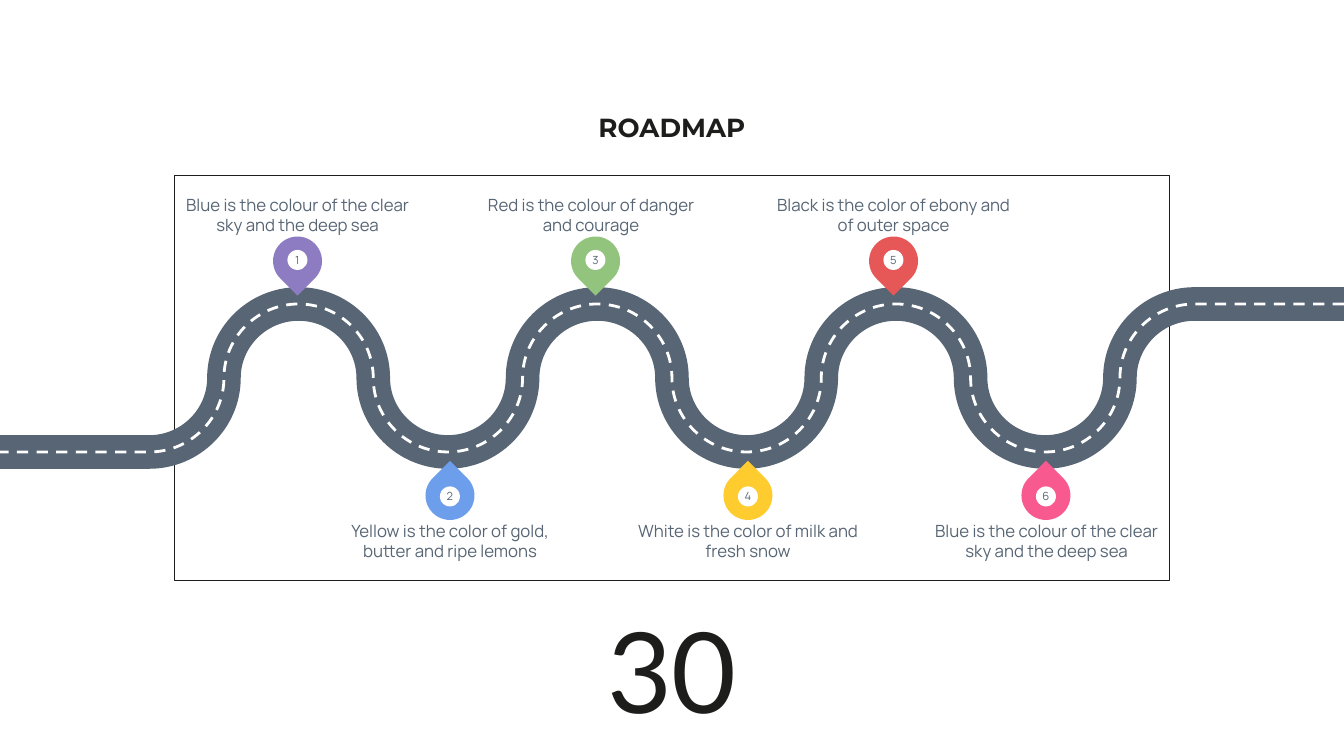
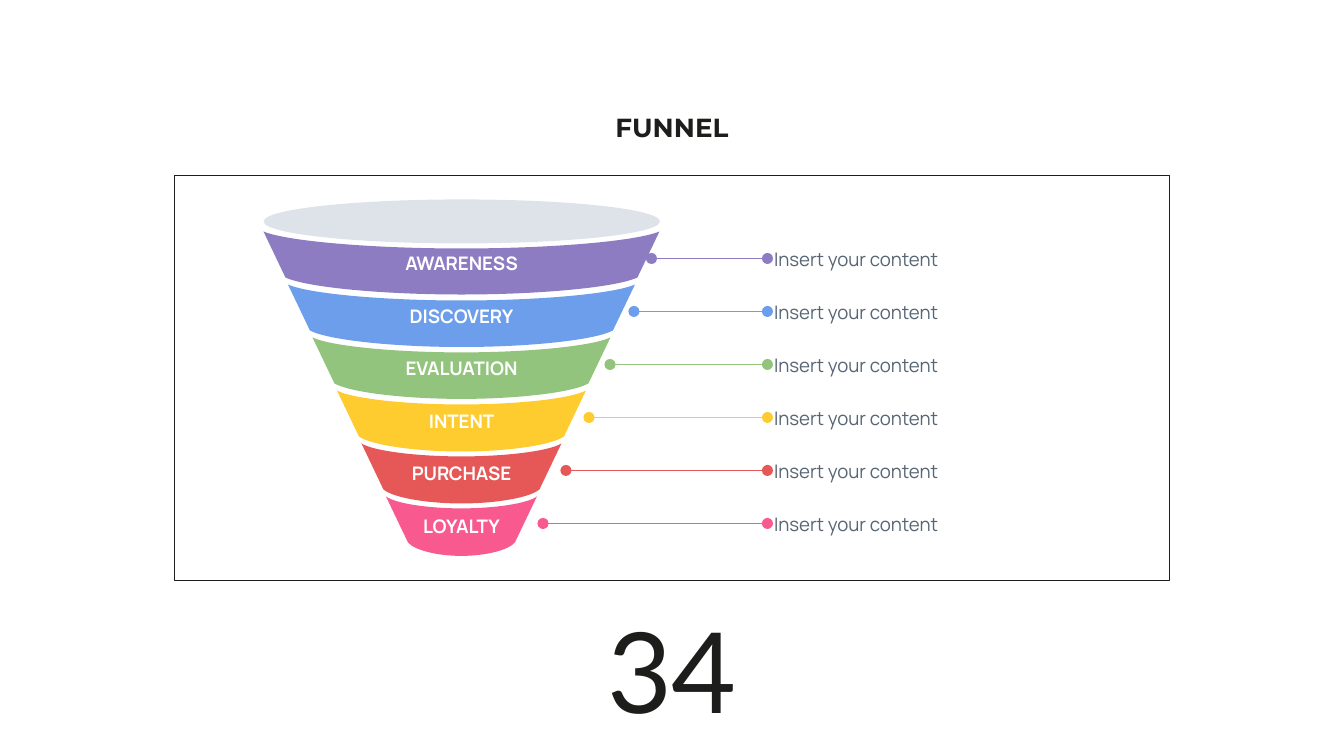
from dataclasses import dataclass

from lxml.etree import SubElement
from pptx import Presentation
from pptx.dml.color import RGBColor
from pptx.enum.dml import MSO_LINE
from pptx.enum.shapes import MSO_CONNECTOR, MSO_SHAPE
from pptx.enum.text import MSO_ANCHOR, PP_ALIGN
from pptx.oxml.ns import qn
from pptx.util import Emu, Pt

WIDE, HIGH = 2688, 1512
SCALE = 9144000 / WIDE


@dataclass(frozen=True)
class Theme:
    ink: str = "1D1D1B"
    slate: str = "576574"
    white: str = "FFFFFF"
    mist: str = "DEE3E9"
    hues: tuple = ("8E7CC3", "6D9EEB", "93C47D", "FFCC2F", "E65858", "F8598E")
    head: str = "Montserrat"
    body: str = "Manrope"
    digit: str = "Lato"
    title: int = 14
    page: int = 60
    label: int = 10
    note: int = 9
    pin: int = 6
    hair: float = 0.75
    dash: float = 1.5
    road: int = 18


THEME = Theme()


def px(size):
    return Emu(round(size * SCALE))


def tint(code):
    return RGBColor.from_string(code)


def paint(shape, fill=None, edge=None, width=THEME.hair):
    shape.shadow.inherit = False
    if fill:
        shape.fill.solid()
        shape.fill.fore_color.rgb = tint(fill)
    else:
        shape.fill.background()
    if edge:
        shape.line.color.rgb = tint(edge)
        shape.line.width = Pt(width)
    else:
        shape.line.fill.background()


def write(shape, text, size, color, font=THEME.body, bold=False,
          align=PP_ALIGN.CENTER, anchor=MSO_ANCHOR.MIDDLE, pad=(0, 0)):
    frame = shape.text_frame
    frame.word_wrap = True
    frame.vertical_anchor = anchor
    frame.margin_left = frame.margin_right = px(pad[0])
    frame.margin_top = frame.margin_bottom = px(pad[1])
    para = frame.paragraphs[0]
    para.alignment = align
    run = para.add_run()
    run.text = text
    run.font.name = font
    run.font.size = Pt(size)
    run.font.bold = bold
    run.font.color.rgb = tint(color)


def add_form(shapes, kind, box, fill=None, edge=None):
    shape = shapes.add_shape(kind, *map(px, box))
    paint(shape, fill, edge)
    return shape


def add_text(shapes, box, text, size, color, **style):
    write(shapes.add_textbox(*map(px, box)), text, size, color, **style)


def add_curve(shapes, start, parts, close):
    pen = shapes.build_freeform(*map(px, start))
    pen.add_line_segments([(px(x), px(y)) for part in parts for x, y in part], close=close)
    shape = pen.convert_to_shape()
    nodes = iter(list(shape._element.iter(qn("a:lnTo"))))
    for part in parts:
        first, *rest = [next(nodes) for _ in part]
        if rest:
            first.tag = qn("a:cubicBezTo")
        for node in rest:
            first.append(node[0])
            node.getparent().remove(node)
    return shape


def add_link(shapes, start, end, y, color):
    link = shapes.add_connector(MSO_CONNECTOR.STRAIGHT, px(start), px(y), px(end), px(y))
    link.line.color.rgb = tint(color)
    link.line.width = Pt(THEME.hair)
    props = link._element.spPr
    for tip in ("a:headEnd", "a:tailEnd"):
        SubElement(props.find(qn("a:ln")), qn(tip), type="oval")
    SubElement(props, qn("a:effectLst"))


def add_page(deck, title, page):
    shapes = deck.slides.add_slide(deck.slide_layouts[6]).shapes
    add_form(shapes, MSO_SHAPE.RECTANGLE, (349, 351, 1990, 810), edge=THEME.ink)
    add_text(shapes, (349, 60, 1990, 253), title, THEME.title, THEME.ink,
             font=THEME.head, bold=True, anchor=MSO_ANCHOR.BOTTOM, pad=(27, 27))
    add_text(shapes, (349, 1161, 1990, 351), page, THEME.page, THEME.ink,
             font=THEME.digit, pad=(27, 27))
    return shapes


def road_parts(mid=756, rise=148, bends=8, bow=0.55):
    turn = WIDE / (bends + 1)
    reach = turn / 2
    parts = [[(bends * turn, mid - rise)]]
    for bend in range(bends, 0, -1):
        x, lift = bend * turn, rise if bend % 2 else -rise
        if bend < bends:
            parts.append([(x + reach, mid + lift * bow),
                          (x + reach * bow, mid + lift), (x, mid + lift)])
        if bend > 1:
            parts.append([(x - reach * bow, mid + lift),
                          (x - reach, mid + lift * bow), (x - reach, mid)])
    return (WIDE, mid - rise), parts + [[(0, mid + rise)]]


def add_road(shapes):
    for color, width in ((THEME.slate, THEME.road), (THEME.white, THEME.dash)):
        road = add_curve(shapes, *road_parts(), False)
        paint(road, edge=color, width=width)
    road.line.dash_style = MSO_LINE.DASH


def add_pin(shapes, index, left, above):
    top, dot, spin = (473, 500, 135) if above else (942, 973, 315)
    group = shapes.add_group_shape().shapes
    drop = add_form(group, MSO_SHAPE.TEAR, (left, top, 98, 98), THEME.hues[index])
    drop.rotation = spin
    disc = add_form(group, MSO_SHAPE.OVAL, (left + 29, dot, 40, 40), THEME.white)
    write(disc, str(index + 1), THEME.pin, THEME.slate)


def add_stop(shapes, index, left, text):
    above = index % 2 == 0
    add_pin(shapes, index, (546 if above else 851) + 596 * (index // 2), above)
    add_text(shapes, (left, 314 if above else 1042, 470, 156), text, THEME.note, THEME.slate,
             anchor=MSO_ANCHOR.BOTTOM if above else MSO_ANCHOR.TOP)


def sag_line(mid, half, top, sag):
    steps = ((-1, 0), (-0.88, 0.58), (-0.45, 1), (0, 1), (0.45, 1), (0.88, 0.58), (1, 0))
    return [(mid + half * x, top + sag * y) for x, y in steps]


def add_band(shapes, index, text):
    mid, top, half = 923, 463 + 106 * index, 396 - 49 * index
    rim = sag_line(mid, half, top, 34 - 2 * index)
    base = sag_line(mid, half - 44, top + 92, 34 - 3 * index // 2)
    parts = [base[:1], base[1:4], base[4:], rim[6:], rim[5:2:-1], rim[2::-1]]
    band = add_curve(shapes, rim[0], parts, True)
    paint(band, THEME.hues[index])
    write(band, text, THEME.label, THEME.white, bold=True, pad=(18, 10))


def add_note(shapes, index, start):
    y = 517 + 106 * index
    add_link(shapes, start, 1535, y, THEME.hues[index])
    add_text(shapes, (1548, y - 37, 612, 76), "Insert your content", THEME.label,
             THEME.slate, align=PP_ALIGN.LEFT)


def main():
    deck = Presentation()
    deck.slide_width, deck.slide_height = px(WIDE), px(HIGH)

    shapes = add_page(deck, "ROADMAP", "30")
    add_road(shapes)
    stops = (
        (360, "Blue is the colour of the clear sky and the deep sea"),
        (665, "Yellow is the color of gold, butter and ripe lemons"),
        (947, "Red is the colour of danger and courage"),
        (1261, "White is the color of milk and fresh snow"),
        (1552, "Black is the color of ebony and of outer space"),
        (1858, "Blue is the colour of the clear sky and the deep sea"),
    )
    for index, (left, text) in enumerate(stops):
        add_stop(shapes, index, left, text)

    shapes = add_page(deck, "FUNNEL", "34")
    bands = (
        ("AWARENESS", 1303),
        ("DISCOVERY", 1268),
        ("EVALUATION", 1220),
        ("INTENT", 1178),
        ("PURCHASE", 1132),
        ("LOYALTY", 1086),
    )
    funnel = shapes.add_group_shape().shapes
    for index, (text, start) in enumerate(bands):
        add_band(funnel, index, text)
        add_note(shapes, index, start)
    add_form(funnel, MSO_SHAPE.OVAL, (527, 399, 793, 88), THEME.mist)

    deck.save("out.pptx")


if __name__ == "__main__":
    main()
